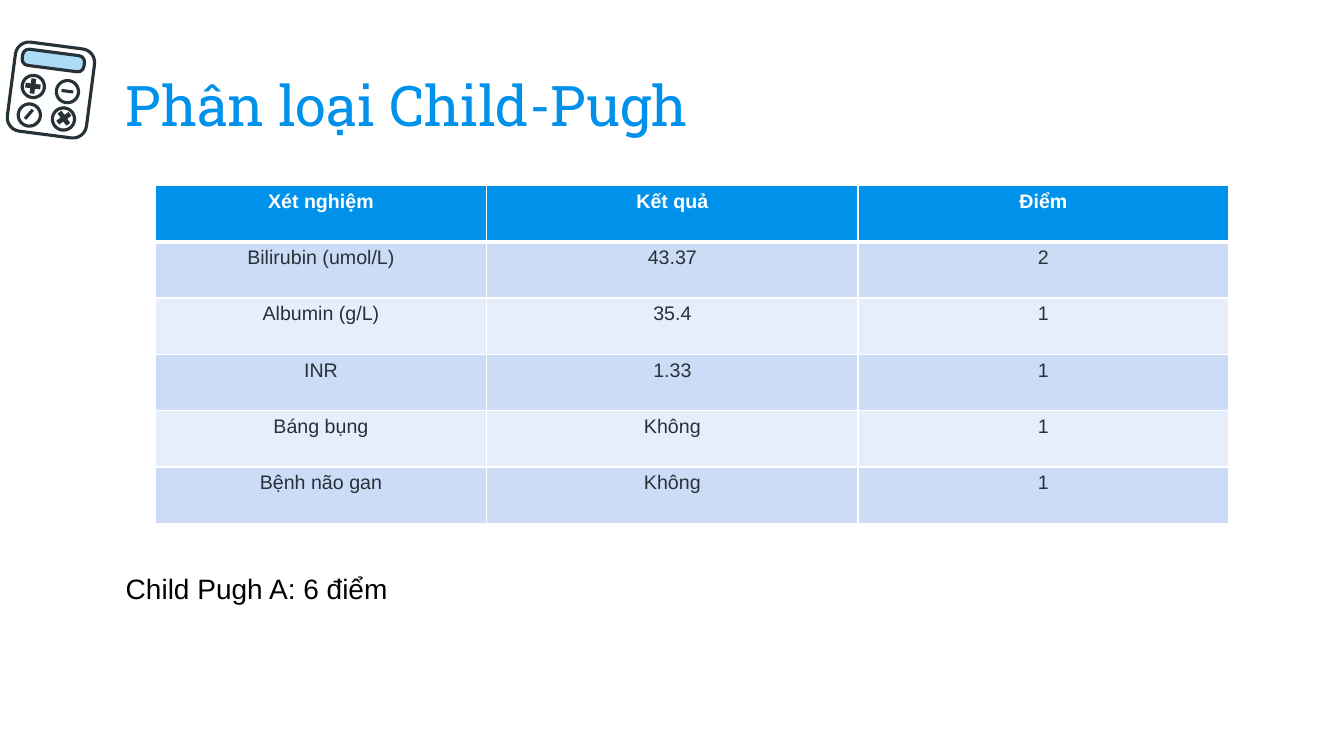
from dataclasses import dataclass

from lxml import etree
from pptx import Presentation
from pptx.dml.color import RGBColor
from pptx.enum.shapes import MSO_SHAPE
from pptx.enum.text import MSO_ANCHOR, MSO_AUTO_SIZE, PP_ALIGN
from pptx.oxml.ns import qn
from pptx.util import Cm, Pt

ROUND = MSO_SHAPE.ROUNDED_RECTANGLE
OVAL = MSO_SHAPE.OVAL
BAR = MSO_SHAPE.RECTANGLE
CROSS = MSO_SHAPE.CROSS
LEFT, CENTER = PP_ALIGN.LEFT, PP_ALIGN.CENTER

BLUE = RGBColor(0x00, 0x91, 0xEA)
SKY = RGBColor(0xAC, 0xDB, 0xF8)
DARK = RGBColor(0x26, 0x32, 0x38)
WHITE = RGBColor(0xFF, 0xFF, 0xFF)
BLACK = RGBColor(0x00, 0x00, 0x00)
BANDS = (RGBColor(0xCC, 0xDC, 0xF7), RGBColor(0xE7, 0xEE, 0xFB))

TILT = 7.4
MARGIN = 2.92


@dataclass
class Part:
    kind: int
    left: float
    top: float
    width: float
    height: float
    fill: RGBColor | None = None
    line: bool = True
    turn: float = TILT
    adjust: float | None = None


# Calculator: case, screen, four keys, then the signs on the keys
PARTS = [
    Part(ROUND, 0.28, 1.14, 2.01, 2.26, WHITE, adjust=0.17),
    Part(ROUND, 0.56, 1.32, 1.57, 0.41, SKY, adjust=0.38),
    *(Part(OVAL, x, y, 0.56, 0.56)
      for x, y in ((0.56, 1.9), (1.42, 2.03), (0.46, 2.62), (1.32, 2.72))),
    Part(BAR, 1.55, 2.26, 0.3, 0.08, DARK, False),
    Part(CROSS, 0.64, 1.98, 0.38, 0.38, DARK, False, adjust=0.34),
    Part(CROSS, 1.42, 2.79, 0.38, 0.38, DARK, False, 54.4, 0.34),
    Part(BAR, 0.58, 2.84, 0.3, 0.08, DARK, False, 310.8),
]

WIDTHS = (8.36, 9.35, 9.35)
ROW = 1.42
ROWS = [
    ("Xét nghiệm", "Kết quả", "Điểm"),
    ("Bilirubin (umol/L)", "43.37", "2"),
    ("Albumin (g/L)", "35.4", "1"),
    ("INR", "1.33", "1"),
    ("Báng bụng", "Không", "1"),
    ("Bệnh não gan", "Không", "1"),
]


def write(frame, text: str, *, size: float, color: RGBColor,
          font: str = "Arial", bold: bool = False, align=LEFT) -> None:
    para = frame.paragraphs[0]
    para.alignment = align
    run = para.add_run()
    run.text = text
    run.font.name = font
    run.font.size = Pt(size)
    run.font.bold = bold
    run.font.color.rgb = color


def draw(group, part: Part) -> None:
    shape = group.shapes.add_shape(
        part.kind, Cm(part.left), Cm(part.top), Cm(part.width), Cm(part.height))
    shape.shadow.inherit = False
    shape.rotation = part.turn
    if part.adjust is not None:
        shape.adjustments[0] = part.adjust
    if part.fill is None:
        shape.fill.background()
    else:
        shape.fill.solid()
        shape.fill.fore_color.rgb = part.fill
    if part.line:
        shape.line.color.rgb = DARK
        shape.line.width = Pt(2.25)
    else:
        shape.line.fill.background()


def edge(cell, side: str, width: float) -> None:
    props = cell._tc.get_or_add_tcPr()
    line = etree.SubElement(props, qn(f"a:ln{side}"), w=str(Pt(width)))
    fill = etree.SubElement(line, qn("a:solidFill"))
    etree.SubElement(fill, qn("a:srgbClr"), val=str(WHITE))


def add_grid(slide) -> None:
    table = slide.shapes.add_table(
        len(ROWS), len(WIDTHS), Cm(3.91), Cm(4.67),
        Cm(sum(WIDTHS)), Cm(ROW * len(ROWS))).table
    for col, width in zip(table.columns, WIDTHS):
        col.width = Cm(width)
    for r, texts in enumerate(ROWS):
        table.rows[r].height = Cm(ROW)
        head = r == 0
        for c, text in enumerate(texts):
            cell = table.cell(r, c)
            edge(cell, "L", 1)
            edge(cell, "R", 1)
            edge(cell, "T", 3 if r == 1 else 1)
            edge(cell, "B", 3 if head else 1)
            cell.fill.solid()
            cell.fill.fore_color.rgb = BLUE if head else BANDS[(r - 1) % 2]
            write(cell.text_frame, text, size=14, bold=head, align=CENTER,
                  color=WHITE if head else DARK)


def main() -> None:
    deck = Presentation()
    deck.slide_width, deck.slide_height = Cm(33.87), Cm(19.05)
    slide = deck.slides.add_slide(deck.slide_layouts[5])

    # Calculator icon
    icon = slide.shapes.add_group_shape()
    for part in PARTS:
        draw(icon, part)

    # Title
    title = slide.shapes.title
    title.left, title.top = Cm(MARGIN), Cm(1.14)
    title.width, title.height = Cm(28.04), Cm(2.59)
    frame = title.text_frame
    frame.auto_size = MSO_AUTO_SIZE.NONE
    frame.vertical_anchor = MSO_ANCHOR.BOTTOM
    frame.margin_left = frame.margin_right = Cm(0.25)
    frame.margin_top = frame.margin_bottom = Cm(0.25)
    write(frame, "Phân loại Child-Pugh", size=40, color=BLUE, font="Roboto Slab")

    # Test results
    add_grid(slide)

    # Total score
    total = slide.shapes.add_textbox(Cm(MARGIN), Cm(14.27), Cm(19.76), Cm(1.12))
    total.text_frame.word_wrap = True
    write(total.text_frame, "Child Pugh A: 6 điểm", size=20, color=BLACK)

    deck.save("out.pptx")


if __name__ == "__main__":
    main()
